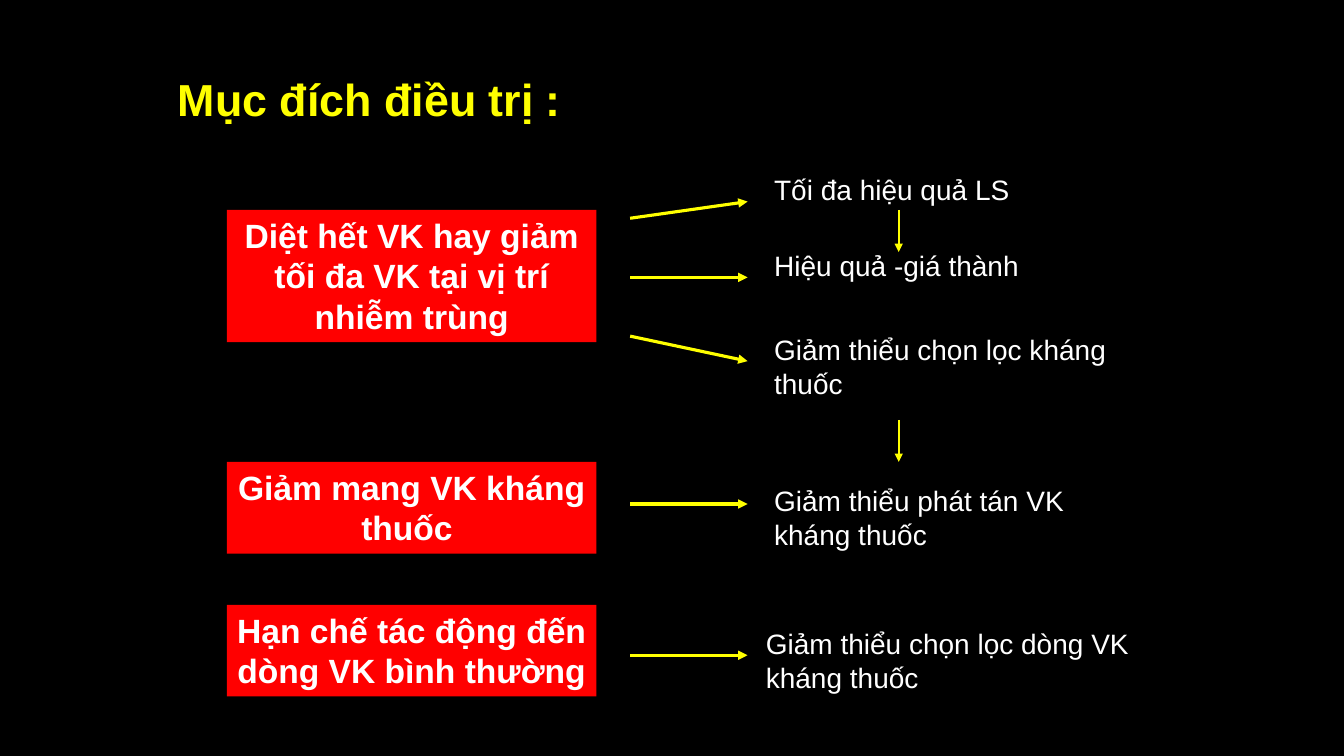
from dataclasses import dataclass

from lxml.etree import SubElement
from pptx import Presentation
from pptx.dml.color import RGBColor
from pptx.enum.shapes import MSO_CONNECTOR, MSO_SHAPE
from pptx.enum.text import MSO_ANCHOR, MSO_AUTO_SIZE, PP_ALIGN
from pptx.oxml.ns import qn
from pptx.slide import Slide
from pptx.text.text import TextFrame
from pptx.util import Cm, Pt


@dataclass(frozen=True)
class Theme:
    background: RGBColor = RGBColor(0x00, 0x00, 0x00)
    accent: RGBColor = RGBColor(0xFF, 0xFF, 0x00)
    goal_fill: RGBColor = RGBColor(0xFF, 0x00, 0x00)
    text: RGBColor = RGBColor(0xFF, 0xFF, 0xFF)
    font: str = "Arial"
    title_size: int = 32
    goal_size: int = 24
    outcome_size: int = 20
    link_width: float = 2.25
    step_width: float = 1.5


@dataclass(frozen=True)
class Goal:
    text: str
    top: float
    height: float


@dataclass(frozen=True)
class Outcome:
    text: str
    top: float
    height: float
    left: float = 19.26


@dataclass(frozen=True)
class Arrow:
    x1: float
    y1: float
    x2: float
    y2: float
    width: float


THEME = Theme()
TITLE = "Mục đích điều trị :"
GOAL_LEFT, GOAL_WIDTH = 5.72, 9.31
OUTCOME_WIDTH = 9.74
LINK_START, LINK_END = 15.88, 18.84
STEP_X = 22.65

GOALS = [
    Goal("Diệt hết VK hay giảm tối đa VK tại vị trí nhiễm trùng", 5.29, 3.33),
    Goal("Giảm mang VK kháng thuốc ", 11.64, 2.31),
    Goal("Hạn chế tác động đến dòng VK bình thường", 15.24, 2.31),
]
OUTCOMES = [
    Outcome("Tối đa hiệu quả LS", 4.23, 1.1),
    Outcome("Hiệu quả -giá thành", 6.14, 1.1),
    Outcome("Giảm thiểu chọn lọc kháng thuốc", 8.26, 1.95),
    Outcome("Giảm thiểu phát tán VK kháng thuốc", 12.07, 1.95),
    Outcome("Giảm thiểu chọn lọc dòng VK kháng thuốc", 15.66, 1.95, left=19.05),
]
# Start and end heights of the arrows from goals to outcomes
LINK_HEIGHTS = [(5.5, 5.08), (6.99, 6.99), (8.47, 9.1), (12.7, 12.7), (16.51, 16.51)]
# Start and end heights of the arrows between outcomes
STEP_HEIGHTS = [(5.29, 6.35), (10.58, 11.64)]
ARROWS = [
    Arrow(LINK_START, start, LINK_END, end, THEME.link_width)
    for start, end in LINK_HEIGHTS
] + [
    Arrow(STEP_X, start, STEP_X, end, THEME.step_width)
    for start, end in STEP_HEIGHTS
]


def write_text(frame: TextFrame, text: str, *, size: int,
               color: RGBColor = THEME.text, bold: bool = False,
               align: PP_ALIGN = PP_ALIGN.LEFT) -> None:
    frame.word_wrap = True
    frame.auto_size = MSO_AUTO_SIZE.NONE
    frame.vertical_anchor = MSO_ANCHOR.TOP
    paragraph = frame.paragraphs[0]
    paragraph.alignment = align
    run = paragraph.add_run()
    run.text = text
    run.font.name = THEME.font
    run.font.size = Pt(size)
    run.font.bold = bold
    run.font.color.rgb = color


def place_title(slide: Slide) -> None:
    title = slide.shapes.title
    title.left, title.top = Cm(4.23), Cm(1.69)
    title.width, title.height = Cm(11.85), Cm(1.64)
    write_text(title.text_frame, TITLE, size=THEME.title_size,
               color=THEME.accent, bold=True)


def draw_goal(slide: Slide, goal: Goal) -> None:
    box = slide.shapes.add_shape(MSO_SHAPE.RECTANGLE, Cm(GOAL_LEFT), Cm(goal.top),
                                 Cm(GOAL_WIDTH), Cm(goal.height))
    box.shadow.inherit = False
    box.fill.solid()
    box.fill.fore_color.rgb = THEME.goal_fill
    box.line.fill.background()
    write_text(box.text_frame, goal.text, size=THEME.goal_size,
               bold=True, align=PP_ALIGN.CENTER)


def draw_outcome(slide: Slide, outcome: Outcome) -> None:
    label = slide.shapes.add_textbox(Cm(outcome.left), Cm(outcome.top),
                                     Cm(OUTCOME_WIDTH), Cm(outcome.height))
    write_text(label.text_frame, outcome.text, size=THEME.outcome_size)


def draw_arrow(slide: Slide, arrow: Arrow) -> None:
    connector = slide.shapes.add_connector(
        MSO_CONNECTOR.STRAIGHT, Cm(arrow.x1), Cm(arrow.y1), Cm(arrow.x2), Cm(arrow.y2))
    connector.line.color.rgb = THEME.accent
    connector.line.width = Pt(arrow.width)
    properties = connector.element.spPr
    SubElement(properties.find(qn("a:ln")), qn("a:tailEnd"), type="triangle")
    SubElement(properties, qn("a:effectLst"))


def main() -> None:
    presentation = Presentation()
    presentation.slide_width, presentation.slide_height = Cm(33.87), Cm(19.05)
    title_only = presentation.slide_layouts.get_by_name("Title Only")
    slide = presentation.slides.add_slide(title_only)
    slide.background.fill.solid()
    slide.background.fill.fore_color.rgb = THEME.background

    place_title(slide)
    for goal in GOALS:
        draw_goal(slide, goal)
    for outcome in OUTCOMES:
        draw_outcome(slide, outcome)
    for arrow in ARROWS:
        draw_arrow(slide, arrow)
    presentation.save("out.pptx")


if __name__ == "__main__":
    main()
